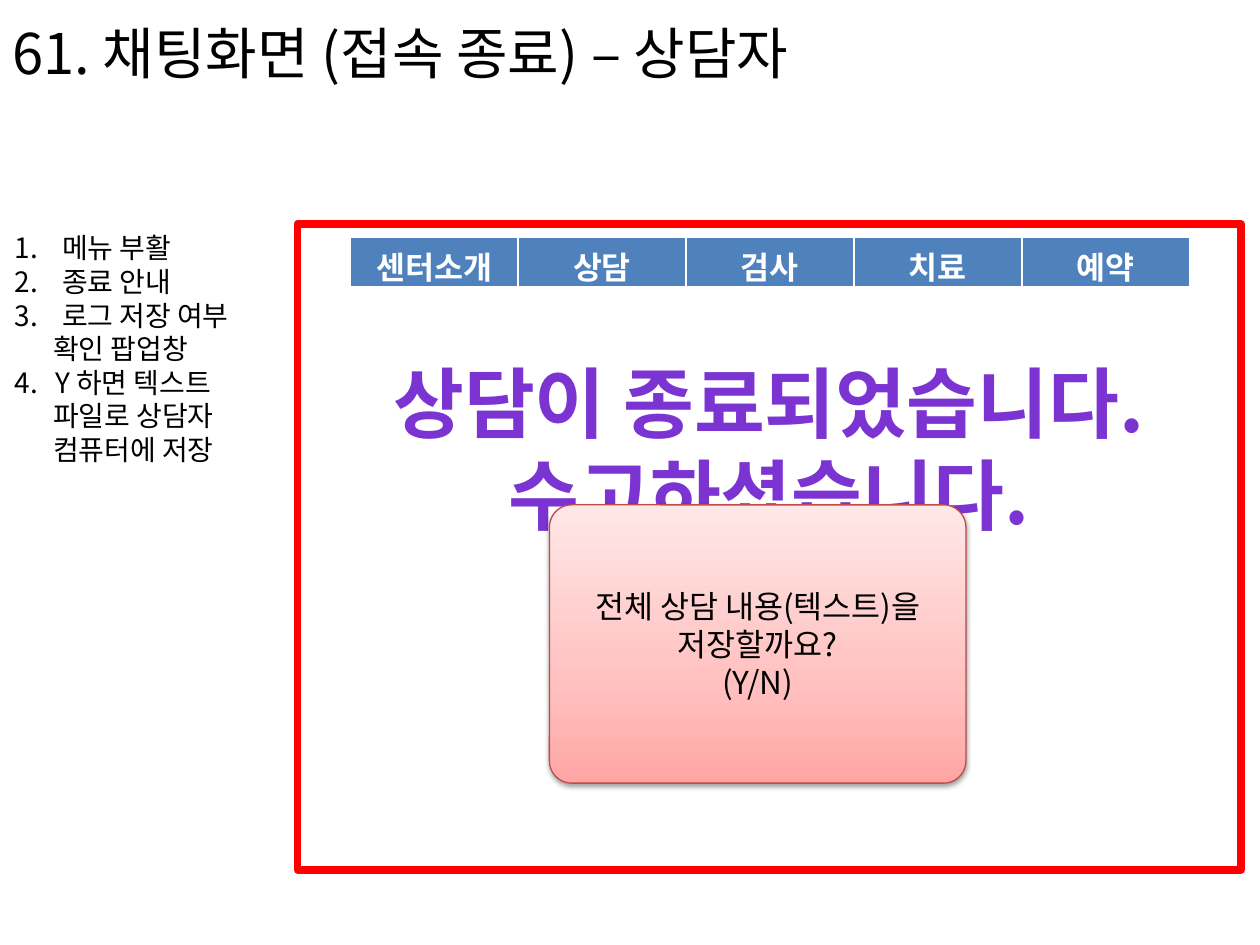
import pptx
import pptx.util
import pptx.oxml
import pptx.oxml.ns
import pptx.dml.color
import pptx.enum.shapes
import pptx.enum.text
from dataclasses import dataclass

Pt = pptx.util.Pt
Align = pptx.enum.text.PP_ALIGN
Anchor = pptx.enum.text.MSO_ANCHOR
Kind = pptx.enum.shapes.MSO_SHAPE


@dataclass(frozen=True)
class Theme:
    font: str = "Noto Sans CJK KR"
    black: str = "000000"
    white: str = "FFFFFF"
    frame: str = "FF0000"
    menu: str = "4F81BD"
    notice: str = "7B34D2"
    edge: str = "BF4C48"
    fade: tuple = ((0, "FFA6A5"), (35, "FFC0BF"), (100, "FFE7E7"))
    title: int = 32
    big: int = 44
    body: int = 18
    note: int = 16


theme = Theme()


def color(code):
    return pptx.dml.color.RGBColor.from_string(code)


def xml(tag, body="", **attrs):
    """Make one DrawingML element."""
    names = pptx.oxml.ns.nsdecls("a")
    pairs = " ".join(f'{key}="{val}"' for key, val in attrs.items())
    return pptx.oxml.parse_xml(f"<a:{tag} {names} {pairs}>{body}</a:{tag}>")


def tint(code, extra=""):
    return f'<a:srgbClr val="{code}">{extra}</a:srgbClr>'


def write(para, text, size=theme.body, ink=theme.black, bold=False, align=Align.LEFT):
    """Put formatted text in a paragraph."""
    para.alignment = align
    run = para.add_run()
    run.text = text
    font = run.font
    font.name, font.size, font.bold = theme.font, Pt(size), bold
    font.color.rgb = color(ink)
    font._element.append(xml("ea", typeface=theme.font))


def fill_in(frame, lines, **style):
    """Write each line as its own paragraph."""
    paras = []
    for i, line in enumerate(lines):
        para = frame.add_paragraph() if i else frame.paragraphs[0]
        write(para, line, **style)
        paras.append(para)
    return paras


def box(slide, area, lines, wrap=True, anchor=Anchor.TOP, inset=None, **style):
    frame = slide.shapes.add_textbox(*map(Pt, area)).text_frame
    frame.word_wrap, frame.vertical_anchor = wrap, anchor
    if inset is not None:
        frame.margin_left = frame.margin_right = Pt(inset)
        frame.margin_top = frame.margin_bottom = Pt(inset)
    return fill_in(frame, lines, **style)


def panel(slide, kind, area, line, width):
    shape = slide.shapes.add_shape(kind, *map(Pt, area))
    shape.shadow.inherit = False
    shape.fill.solid()
    shape.fill.fore_color.rgb = color(theme.white)
    shape.line.color.rgb = color(line)
    shape.line.width = Pt(width)
    return shape


def menu(slide, area, names):
    table = slide.shapes.add_table(1, len(names), *map(Pt, area)).table
    table.first_row = table.horz_banding = False
    for cell, name in zip(table.iter_cells(), names):
        write(cell.text_frame.paragraphs[0], name, ink=theme.white,
              bold=True, align=Align.CENTER)
        cell.fill.solid()
        cell.fill.fore_color.rgb = color(theme.menu)
        # Borders come before the fill in a cell
        props = cell._tc.get_or_add_tcPr()
        for i, (side, width) in enumerate(dict(L=1, R=1, T=1, B=3).items()):
            solid = f"<a:solidFill>{tint(theme.white)}</a:solidFill>"
            props.insert(i, xml(f"ln{side}", solid, w=Pt(width)))


def notes(slide, area, items):
    """Numbered notes; an item without a number continues the one above."""
    paras = box(slide, area, [text for _, _, text in items], inset=0, size=theme.note)
    for para, (num, indent, _) in zip(paras, items):
        props = para._p.get_or_add_pPr()
        props.set("marL", str(Pt(indent)))
        props.set("indent", str(-Pt(indent) if num else 0))
        if num:
            props.append(xml("buFont", typeface=theme.font))
            props.append(xml("buAutoNum", type="arabicPeriod", startAt=num))


def popup(slide, area, lines):
    shape = panel(slide, Kind.ROUNDED_RECTANGLE, area, theme.edge, 0.75)
    shape.adjustments[0] = 0.08
    props = shape._element.spPr
    # Gradient fill, upwards
    stops = "".join(f'<a:gs pos="{pos * 1000}">{tint(code)}</a:gs>'
                    for pos, code in theme.fade)
    grad = xml("gradFill", f'<a:gsLst>{stops}</a:gsLst><a:lin ang="16200000"/>')
    props.replace(props.find(pptx.oxml.ns.qn("a:solidFill")), grad)
    # Soft shadow below
    shade = tint(theme.black, '<a:alpha val="38000"/>')
    props.find(pptx.oxml.ns.qn("a:effectLst")).append(
        xml("outerShdw", shade, blurRad=Pt(3.1), dist=Pt(1.6), dir=5400000, rotWithShape=0))
    shape.text_frame.word_wrap = True
    shape.text_frame.vertical_anchor = Anchor.MIDDLE
    fill_in(shape.text_frame, lines, align=Align.CENTER)


def main():
    deck = pptx.Presentation()
    deck.slide_width, deck.slide_height = Pt(720), Pt(540)
    slide = deck.slides.add_slide(deck.slide_layouts[6])

    # Chat screen with its closing notice
    panel(slide, Kind.RECTANGLE, (170, 128, 539, 369), theme.frame, 4.5)
    box(slide, (200, 199.5, 479, 114), ["상담이 종료되었습니다.", "수고하셨습니다."],
        wrap=False, size=theme.big, ink=theme.notice, bold=True, align=Align.CENTER)
    menu(slide, (200, 135.5, 480, 29.5), ["센터소개", "상담", "검사", "치료", "예약"])

    # Notes beside the screen
    notes(slide, (8.5, 132, 136, 136), [
        (1, 27, "메뉴 부활"),
        (2, 27, "종료 안내"),
        (3, 27, "로그 저장 여부"),
        (0, 22, "확인 팝업창"),
        (4, 23, "Y 하면 텍스트"),
        (0, 22, "파일로 상담자"),
        (0, 22, "컴퓨터에 저장"),
    ])

    # Save prompt
    popup(slide, (314, 288.5, 238, 159),
          ["전체 상담 내용(텍스트)을", "저장할까요?", "(Y/N)"])

    # Title
    box(slide, (0, -0.5, 699, 61), ["61. 채팅화면 (접속 종료) – 상담자"],
        anchor=Anchor.MIDDLE, size=theme.title)

    deck.save("out.pptx")


if __name__ == "__main__":
    main()
